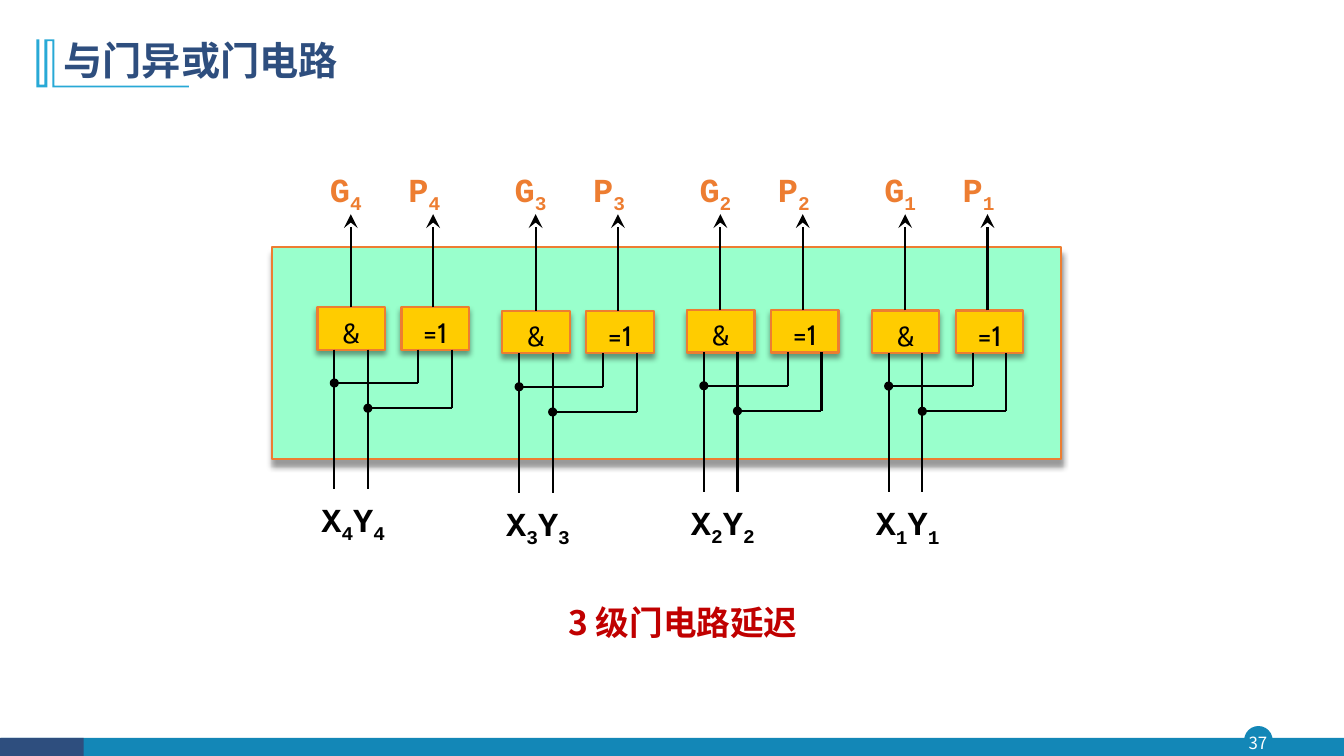
from dataclasses import dataclass

from lxml import etree
from pptx import Presentation
from pptx import util as u
from pptx.dml import color
from pptx.enum import shapes, text
from pptx.oxml import ns

Pt = u.Pt
CJK, MONO, GATE_FONT = "Noto Sans CJK SC", "Courier New", "Cabin"
ORANGE, BLACK, TEAL, NAVY = "ED7D31", "000000", "1387B7", "2E4E7E"
LEFT, CENTER = text.PP_ALIGN.LEFT, text.PP_ALIGN.CENTER
RECT, OVAL = shapes.MSO_SHAPE.RECTANGLE, shapes.MSO_SHAPE.OVAL


@dataclass(frozen=True)
class Style:
    font: str
    size: float
    color: str
    bold: bool = False
    align: text.PP_ALIGN = LEFT
    spacing: float = 1.0


@dataclass(frozen=True)
class Stage:
    """One bit position: its number, left edge and vertical shift."""
    bit: str
    x: float
    shift: float


TITLE = Style(CJK, 28, NAVY, True, spacing=0.9)
CAPTION = Style(CJK, 24, "C00000", True, CENTER)
PAGE = Style(CJK, 12, "FFFFFF", align=CENTER)
OUTPUT = Style(MONO, 24, ORANGE, True, spacing=1.2)
INPUT = Style(MONO, 24, BLACK, True, spacing=1.2)
GATE = Style(GATE_FONT, 20, BLACK, align=CENTER, spacing=1.2)

GATE_TOP, GATE_W, GATE_H, GATE_PITCH = 219.6, 48.2, 30.2, 60
X_WIRE, Y_WIRE = 12, 36
OUTPUT_TOP, ARROW_TIP = 110.3, 153
TAB_STOP = 56
STAGES = [Stage(bit, 226.8 + 132 * i, shift)
          for i, (bit, shift) in enumerate(zip("4321", (0, 2.7, 2, 2.2)))]


def rgb(value: str) -> color.RGBColor:
    return color.RGBColor.from_string(value)


def add_child(parent, tag: str, **attrs):
    return etree.SubElement(parent, ns.qn(tag), attrs)


def add_run(p, words: str, style: Style, sub: bool = False) -> None:
    r = p.add_run()
    r.text = words
    r.font.size, r.font.bold, r.font.name = Pt(style.size), style.bold, style.font
    r.font.color.rgb = rgb(style.color)
    rpr = r.font._element
    add_child(rpr, "a:ea", typeface=style.font)
    if sub:
        rpr.set("baseline", "-25000")


def start_text(tf, style: Style, anchor=text.MSO_ANCHOR.TOP, wrap: bool = True):
    tf.word_wrap = wrap
    tf.auto_size = text.MSO_AUTO_SIZE.NONE
    tf.vertical_anchor = anchor
    p = tf.paragraphs[0]
    p.alignment, p.line_spacing = style.align, style.spacing
    return p


def add_box(s, x: float, y: float, w: float, h: float):
    return s.shapes.add_textbox(Pt(x), Pt(y), Pt(w), Pt(h)).text_frame


def add_block(s, kind, x: float, y: float, w: float, h: float, fill: str,
              line: str = "", width: float = 1.5, shadow: float = 0):
    sp = s.shapes.add_shape(kind, Pt(x), Pt(y), Pt(w), Pt(h))
    sp.shadow.inherit = False
    sp.fill.solid()
    sp.fill.fore_color.rgb = rgb(fill)
    if line:
        sp.line.color.rgb, sp.line.width = rgb(line), Pt(width)
    else:
        sp.line.fill.background()
    if shadow:
        effects = sp._element.spPr.find(ns.qn("a:effectLst"))
        outer = add_child(effects, "a:outerShdw", blurRad=str(Pt(4)),
                          dist=str(Pt(shadow)), dir="5400000", rotWithShape="0")
        add_child(add_child(outer, "a:srgbClr", val=BLACK), "a:alpha", val="40000")
    return sp


def add_wire(s, x1: float, y1: float, x2: float, y2: float, arrow: bool = False) -> None:
    c = s.shapes.add_connector(shapes.MSO_CONNECTOR.STRAIGHT,
                               Pt(x1), Pt(y1), Pt(x2), Pt(y2))
    c.line.color.rgb, c.line.width = rgb(BLACK), Pt(1.5)
    sppr = c._element.spPr
    if arrow:
        add_child(sppr.find(ns.qn("a:ln")), "a:tailEnd", type="stealth", w="lg", len="lg")
    add_child(sppr, "a:effectLst")


def add_pair(s, names: str, bit: str, style: Style, x: float, y: float, w: float,
             tabbed: bool = False) -> None:
    """Two letters, each with the bit number as its subscript."""
    p = start_text(add_box(s, x, y, w, 30.2), style)
    if tabbed:
        tabs = add_child(p._p.get_or_add_pPr(), "a:tabLst")
        add_child(tabs, "a:tab", pos=str(Pt(TAB_STOP)), algn="l")
    first, second = names
    add_run(p, first, style)
    add_run(p, bit + ("\t" if tabbed else ""), style, sub=True)
    add_run(p, second, style)
    add_run(p, bit, style, sub=True)


def add_stage(s, stage: Stage) -> None:
    x, y = stage.x, GATE_TOP + stage.shift
    bottom = y + GATE_H
    # Gates and output arrows
    for i, (symbol, out) in enumerate((("&", 23.8), ("=1", 82.6))):
        sp = add_block(s, RECT, x + i * GATE_PITCH, y, GATE_W, GATE_H,
                       "FFCC00", ORANGE, shadow=3)
        p = start_text(sp.text_frame, GATE, text.MSO_ANCHOR.MIDDLE, False)
        add_run(p, symbol, GATE)
        add_wire(s, x + out, y, x + out, ARROW_TIP, arrow=True)
    # Input wires, each with a branch to the second gate
    for wire, drop in ((X_WIRE, 54), (Y_WIRE, 72)):
        left, right, branch = x + wire, x + wire + GATE_PITCH, y + drop
        add_wire(s, left, bottom, left, y + 129.6)
        add_wire(s, left, branch, right, branch)
        add_wire(s, right, bottom, right, branch)
        add_block(s, OVAL, left - 2.5, branch - 2.5, 5, 5, BLACK, BLACK)
    # Labels
    add_pair(s, "GP", stage.bit, OUTPUT, x + 1.8, OUTPUT_TOP, 103, tabbed=True)
    add_pair(s, "XY", stage.bit, INPUT, x - 4.3, y + 126.7, 95.8)


def add_title(s) -> None:
    # Bracket ornament beside the title
    outline = [(38.9, 28.1), (38.9, 61.2), (134.9, 61.2), (134.9, 62.4),
               (37.4, 62.4), (37.4, 29.5), (33.8, 29.5), (33.8, 62.4),
               (25.9, 62.4), (25.9, 28.1), (28.1, 28.1), (28.1, 60.5),
               (31.7, 60.5), (31.7, 28.1)]
    points = [(Pt(x), Pt(y)) for x, y in outline]
    builder = s.shapes.build_freeform(*points[0])
    builder.add_line_segments(points[1:], close=True)
    sp = builder.convert_to_shape()
    sp.shadow.inherit = False
    sp.fill.solid()
    sp.fill.fore_color.rgb = rgb("28A9D6")
    sp.line.fill.background()
    # Title
    title = s.shapes.title
    title.left, title.top, title.width, title.height = Pt(38.2), Pt(20.2), Pt(828), Pt(49)
    p = start_text(title.text_frame, TITLE, text.MSO_ANCHOR.MIDDLE)
    add_run(p, "与门异或门电路", TITLE)


def add_footer(s) -> None:
    add_block(s, OVAL, 889.2, 519.1, 19.4, 19.4, TEAL, TEAL, 1)
    add_block(s, RECT, 0.7, 527, 959.3, 13, TEAL)
    add_block(s, RECT, 0, 527, 59.8, 13, NAVY)
    tf = add_box(s, 887, 519.1, 23, 22.3)
    p = start_text(tf, PAGE, text.MSO_ANCHOR.MIDDLE)
    tf.margin_left = tf.margin_right = tf.margin_top = tf.margin_bottom = 0
    add_run(p, "37", PAGE)


def main() -> None:
    prs = Presentation()
    prs.slide_width, prs.slide_height = Pt(960), Pt(540)
    s = prs.slides.add_slide(prs.slide_layouts[5])
    add_footer(s)
    add_title(s)
    # Circuit
    add_block(s, RECT, 194.4, 176.4, 563.8, 151.2, "99FFCC", ORANGE, shadow=5)
    for stage in STAGES:
        add_stage(s, stage)
    # Caption
    p = start_text(add_box(s, 360, 426.2, 255.6, 38.9), CAPTION)
    add_run(p, "3 级门电路延迟", CAPTION)
    prs.save("out.pptx")


if __name__ == "__main__":
    main()
